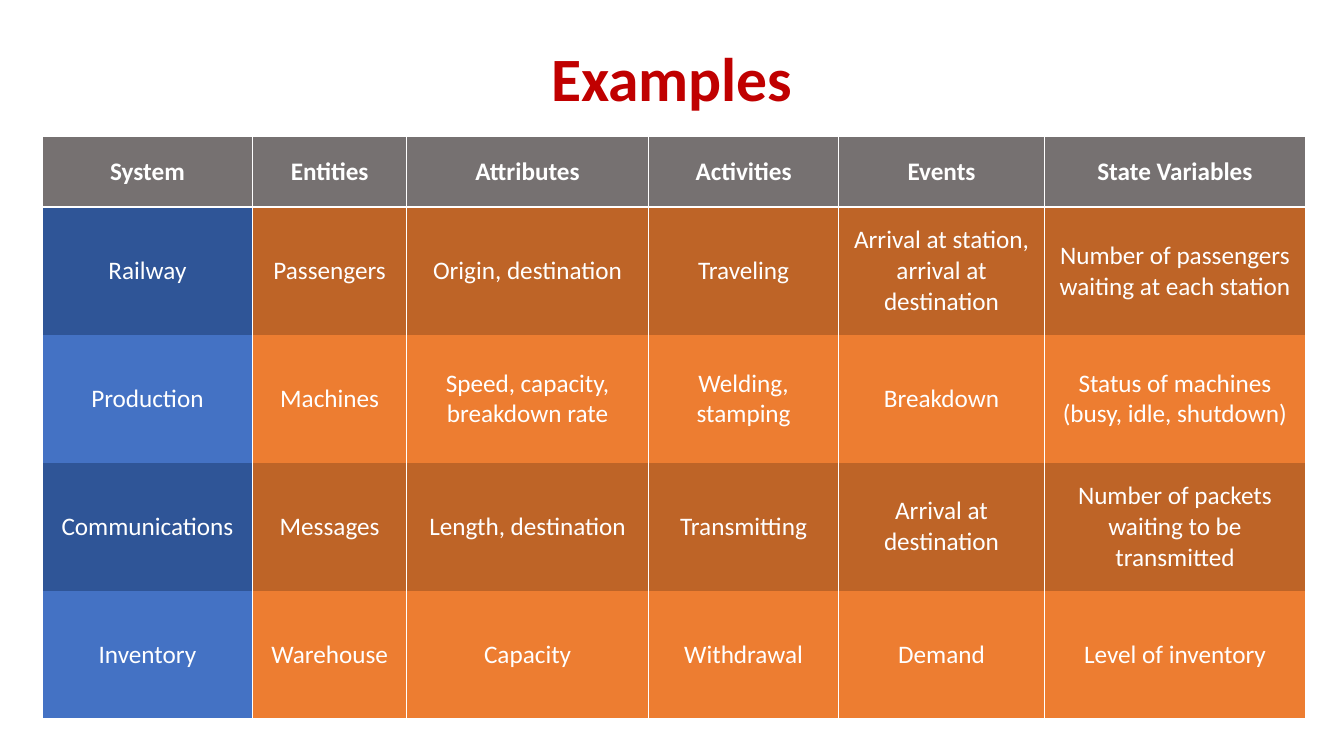
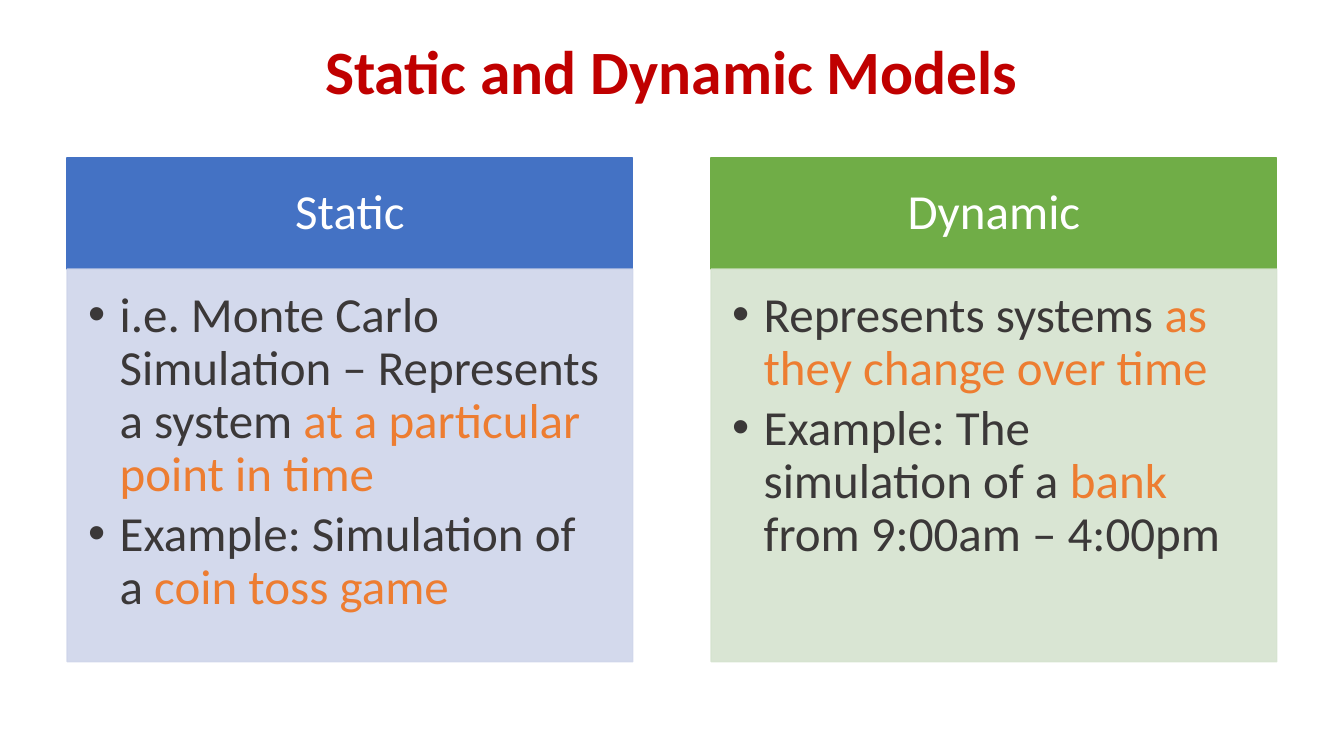
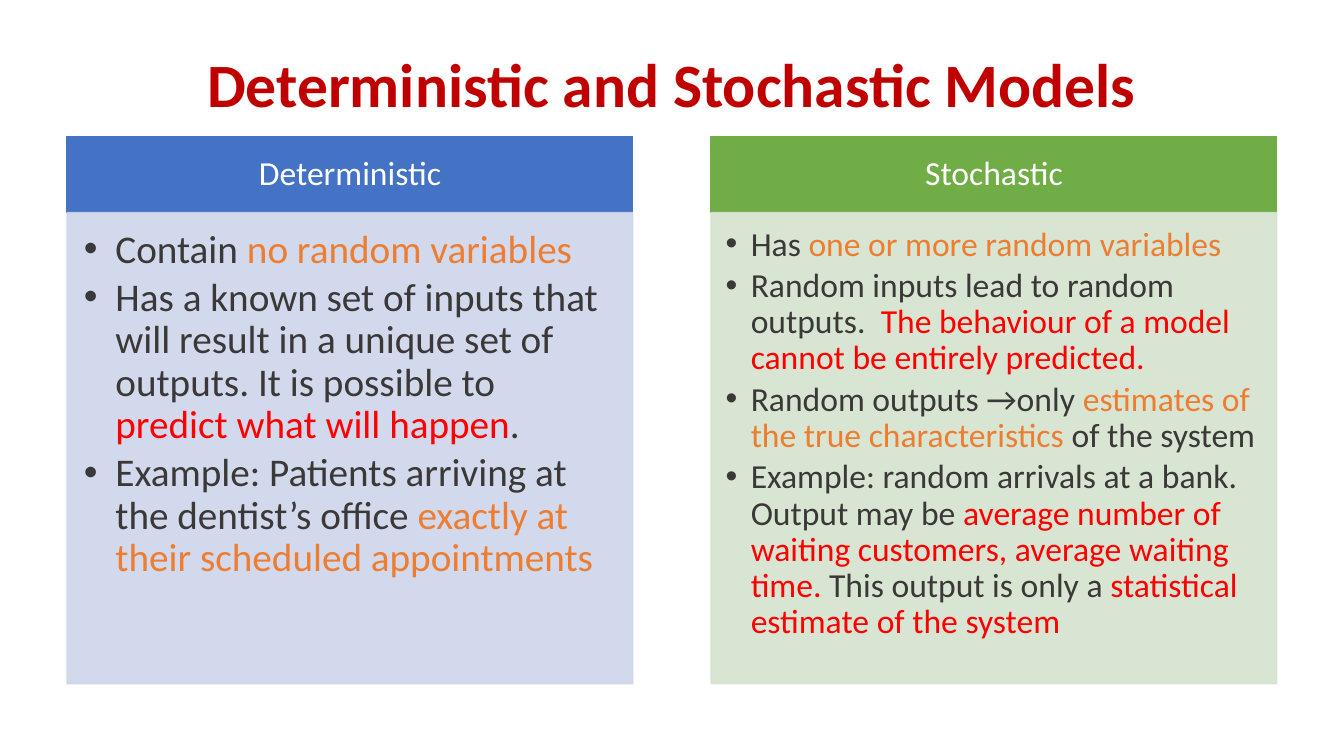
"""Build three slides about system and model types."""
from dataclasses import dataclass

from lxml.etree import SubElement
from pptx import Presentation
from pptx.dml.color import RGBColor as Color
from pptx.enum.text import MSO_ANCHOR as Anchor
from pptx.enum.text import MSO_AUTO_SIZE as AutoSize
from pptx.enum.text import PP_ALIGN as Align
from pptx.oxml.ns import qn
from pptx.util import Pt


@dataclass(frozen=True)
class Theme:
    font: str = "Calibri"
    title: str = "C00000"
    white: str = "FFFFFF"
    text: str = "3B3838"
    accent: str = "ED7D31"
    alert: str = "FF0000"
    table_header: str = "767171"
    label_bands: tuple = ("2F5597", "4472C4")
    cell_bands: tuple = ("BE6427", "ED7D31")
    panels: tuple = (("4472C4", "CFD5EA"), ("70AD47", "D5E3CF"))
    panel_alpha: int = 90000
    title_size: int = 44
    table_size: int = 18


THEME = Theme()
WIDTH, HEIGHT = 960, 540
TITLE_LEFT = 66
PANEL_LEFT, PANEL_WIDTH = 48, 404
TITLE_ONLY, COMPARISON = 5, 4
PLAIN_TABLE = "{2D5ABB26-0587-4C30-8999-92F81FD0307C}"

EXAMPLES = {
    "title": "Examples", "title_top": 28.8, "title_height": 59,
    "left": 30.2, "top": 97.6,
    "columns": (150.3, 110, 172.8, 135.8, 147, 186.5),
    "header_height": 50.4, "row_height": 91.3,
    "rows": [
        ("System", "Entities", "Attributes", "Activities", "Events", "State Variables"),
        ("Railway", "Passengers", "Origin, destination", "Traveling",
         "Arrival at station, arrival at destination",
         "Number of passengers waiting at each station"),
        ("Production", "Machines", "Speed, capacity, breakdown rate",
         "Welding, stamping", "Breakdown", "Status of machines (busy, idle, shutdown)"),
        ("Communications", "Messages", "Length, destination", "Transmitting",
         "Arrival at destination", "Number of packets waiting to be transmitted"),
        ("Inventory", "Warehouse", "Capacity", "Withdrawal", "Demand",
         "Level of inventory"),
    ],
}

COMPARISONS = [
    {
        "title": "Static and Dynamic Models", "title_top": 18, "title_height": 69.8,
        "top": 112.8, "header_height": 79.4, "body_height": 280.4, "header_size": 35,
        "panels": [
            ("Static", 35, 22.5, [
                [("i.e. Monte Carlo Simulation – Represents a system ", "text"),
                 ("at a particular point in time", "accent")],
                [("Example: Simulation of a ", "text"), ("coin toss game", "accent")],
            ]),
            ("Dynamic", 35, 22.5, [
                [("Represents systems ", "text"), ("as they change over time", "accent")],
                [("Example: The simulation of a ", "text"), ("bank ", "accent"),
                 ("from 9:00am – 4:00pm", "text")],
            ]),
        ],
    },
    {
        "title": "Deterministic and Stochastic Models", "title_top": 26.6,
        "title_height": 72,
        "top": 97.5, "header_height": 54.4, "body_height": 336.4, "header_size": 24,
        "panels": [
            ("Deterministic", 28, 22.5, [
                [("Contain ", "text"), ("no random variables", "accent")],
                [("Has a known set of inputs that will result in a unique set of "
                  "outputs. It is possible to ", "text"),
                 ("predict what will happen", "alert"), (".", "text")],
                [("Example: Patients arriving at the dentist’s office ", "text"),
                 ("exactly at their scheduled appointments", "accent")],
            ]),
            ("Stochastic", 24, 18, [
                [("Has ", "text"), ("one or more random variables", "accent")],
                [("Random inputs lead to random outputs.  ", "text"),
                 ("The behaviour of a model cannot be entirely predicted.", "alert")],
                [("Random outputs →only ", "text"),
                 ("estimates of the true characteristics", "accent"),
                 (" of the system", "text")],
                [("Example: random arrivals at a bank. Output may be ", "text"),
                 ("average number of waiting customers, average waiting time.", "alert"),
                 (" This output is only a ", "text"),
                 ("statistical estimate of the system", "alert")],
            ]),
        ],
    },
]


def style_run(run, size, color, bold=False):
    run.font.name = THEME.font
    run.font.size = Pt(size)
    run.font.bold = bold
    run.font.color.rgb = Color.from_string(color)


def place(shape, left, top, width, height):
    shape.left, shape.top = Pt(left), Pt(top)
    shape.width, shape.height = Pt(width), Pt(height)
    shape.text_frame.word_wrap = True
    shape.text_frame.auto_size = AutoSize.NONE


def set_insets(frame, left, top, right, bottom):
    frame.margin_left, frame.margin_top = Pt(left), Pt(top)
    frame.margin_right, frame.margin_bottom = Pt(right), Pt(bottom)


def set_line_text(shape, text, size, color, bold=False):
    frame = shape.text_frame
    frame.text = text
    frame.vertical_anchor = Anchor.MIDDLE
    paragraph = frame.paragraphs[0]
    paragraph.alignment = Align.CENTER
    paragraph.line_spacing = 0.9
    paragraph.space_before = Pt(0)
    style_run(paragraph.runs[0], size, color, bold)


def add_titled_slide(presentation, layout, content):
    slide = presentation.slides.add_slide(presentation.slide_layouts[layout])
    title = slide.shapes.title
    place(title, TITLE_LEFT, content["title_top"], WIDTH - 2 * TITLE_LEFT,
          content["title_height"])
    set_line_text(title, content["title"], THEME.title_size, THEME.title, True)
    return slide


def paint(shape, color, alpha=None):
    shape.fill.solid()
    shape.fill.fore_color.rgb = Color.from_string(color)
    shape.line.color.rgb = Color.from_string(color)
    shape.line.width = Pt(1)
    if alpha:
        for node in shape.element.spPr.iter(qn("a:srgbClr")):
            SubElement(node, qn("a:alpha"), val=str(alpha))


def add_border(cell, side, width):
    line = SubElement(cell._tc.get_or_add_tcPr(), qn(f"a:{side}"), w=str(Pt(width)))
    fill = SubElement(line, qn("a:solidFill"))
    SubElement(fill, qn("a:srgbClr"), val=THEME.white)


def fill_cell(cell, text, row, column):
    add_border(cell, "lnL", 1)
    add_border(cell, "lnR", 1)
    if row == 0:
        add_border(cell, "lnB", 2)
        color = THEME.table_header
    else:
        bands = THEME.cell_bands if column else THEME.label_bands
        color = bands[(row - 1) % 2]
    cell.fill.solid()
    cell.fill.fore_color.rgb = Color.from_string(color)
    cell.vertical_anchor = Anchor.MIDDLE
    cell.text_frame.text = text
    paragraph = cell.text_frame.paragraphs[0]
    paragraph.alignment = Align.CENTER
    style_run(paragraph.runs[0], THEME.table_size, THEME.white, row == 0)


def add_examples(presentation, content):
    slide = add_titled_slide(presentation, TITLE_ONLY, content)
    rows, columns = content["rows"], content["columns"]
    heights = [content["header_height"]] + [content["row_height"]] * (len(rows) - 1)
    table = slide.shapes.add_table(
        len(rows), len(columns), Pt(content["left"]), Pt(content["top"]),
        Pt(sum(columns)), Pt(sum(heights))).table
    table.horz_banding = False
    table._tbl.tblPr.find(qn("a:tableStyleId")).text = PLAIN_TABLE
    for column, width in zip(table.columns, columns):
        column.width = Pt(width)
    for row, height in zip(table.rows, heights):
        row.height = Pt(height)
    for row, texts in enumerate(rows):
        for column, text in enumerate(texts):
            fill_cell(table.cell(row, column), text, row, column)


def set_bullets(frame, bullets, size, indent):
    frame.vertical_anchor = Anchor.TOP
    near, right, bottom = 0.427 * size, 0.569 * size, 0.64 * size
    set_insets(frame, near, near, right, bottom)
    for index, runs in enumerate(bullets):
        paragraph = frame.add_paragraph() if index else frame.paragraphs[0]
        paragraph.line_spacing = 0.9
        paragraph.space_before = Pt(0)
        paragraph.space_after = Pt(0.15 * size)
        properties = paragraph._p.get_or_add_pPr()
        properties.set("marL", str(Pt(indent)))
        properties.set("indent", str(-Pt(indent)))
        for text, role in runs:
            run = paragraph.add_run()
            run.text = text
            style_run(run, size, getattr(THEME, role))


def add_comparison(presentation, content):
    slide = add_titled_slide(presentation, COMPARISON, content)
    top, header_height = content["top"], content["header_height"]
    header_size = content["header_size"]
    lefts = (PANEL_LEFT, WIDTH - PANEL_LEFT - PANEL_WIDTH)
    placeholders = list(slide.placeholders)[1:]
    panels = zip(content["panels"], lefts, THEME.panels,
                 placeholders[::2], placeholders[1::2])
    for (heading, size, indent, bullets), left, colors, header, body in panels:
        place(header, left, top, PANEL_WIDTH, header_height)
        paint(header, colors[0])
        set_line_text(header, heading, header_size, THEME.white)
        side, edge = 0.569 * header_size, 0.325 * header_size
        set_insets(header.text_frame, side, edge, side, edge)
        place(body, left, top + header_height, PANEL_WIDTH, content["body_height"])
        paint(body, colors[1], THEME.panel_alpha)
        set_bullets(body.text_frame, bullets, size, indent)


def main():
    presentation = Presentation()
    presentation.slide_width, presentation.slide_height = Pt(WIDTH), Pt(HEIGHT)
    add_examples(presentation, EXAMPLES)
    for content in COMPARISONS:
        add_comparison(presentation, content)
    presentation.save("out.pptx")


if __name__ == "__main__":
    main()
